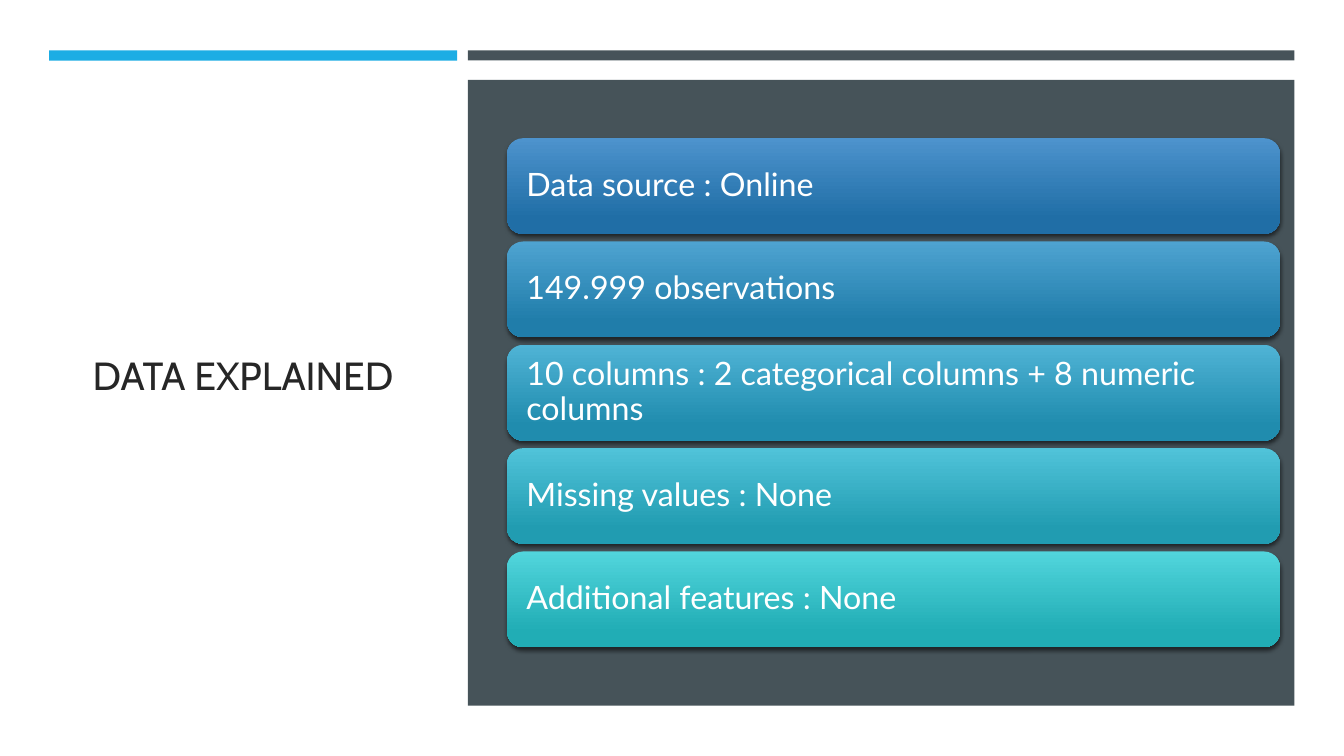
from lxml import etree
from pptx import Presentation
from pptx.dml.color import RGBColor
from pptx.enum.shapes import MSO_SHAPE
from pptx.enum.text import MSO_ANCHOR, MSO_AUTO_SIZE, PP_ALIGN
from pptx.oxml.ns import qn
from pptx.util import Pt

RECT = MSO_SHAPE.RECTANGLE
ROUNDED = MSO_SHAPE.ROUNDED_RECTANGLE
MIDDLE = MSO_ANCHOR.MIDDLE
NO_FIT = MSO_AUTO_SIZE.NONE
LEFT = PP_ALIGN.LEFT

WHITE = RGBColor(0xFF, 0xFF, 0xFF)
INK = RGBColor(0x26, 0x26, 0x26)
ACCENT = RGBColor(0x1C, 0xAD, 0xE4)
SLATE = RGBColor(0x46, 0x53, 0x59)

FACTS = [
    ("Data source : Online", RGBColor(0x4D, 0x93, 0xCD), RGBColor(0x20, 0x6E, 0xA6)),
    ("149.999 observations", RGBColor(0x4E, 0xA3, 0xD1), RGBColor(0x20, 0x7D, 0xAA)),
    ("10 columns : 2 categorical columns + 8 numeric columns",
     RGBColor(0x4F, 0xB3, 0xD5), RGBColor(0x20, 0x8C, 0xAE)),
    ("Missing values : None", RGBColor(0x50, 0xC3, 0xD9), RGBColor(0x21, 0x9C, 0xB1)),
    ("Additional features : None", RGBColor(0x51, 0xD5, 0xDC), RGBColor(0x21, 0xAD, 0xB5)),
]


def add_block(s, kind, left, top, width, height):
    sp = s.shapes.add_shape(kind, Pt(left), Pt(top), Pt(width), Pt(height))
    sp.shadow.inherit = False
    sp.line.fill.background()
    return sp


def add_solid(s, color, *box):
    sp = add_block(s, RECT, *box)
    sp.fill.solid()
    sp.fill.fore_color.rgb = color


def add_drop_shadow(sp):
    effects = sp._element.spPr.find(qn("a:effectLst"))
    shadow = etree.SubElement(effects, qn("a:outerShdw"), blurRad=str(Pt(3)),
                              dist=str(Pt(2)), dir="5400000", algn="ctr", rotWithShape="0")
    color = etree.SubElement(shadow, qn("a:srgbClr"), val="000000")
    etree.SubElement(color, qn("a:alpha"), val="55000")


def add_title(s, text, left, top, width, height):
    sp = s.shapes.title
    sp.left, sp.top, sp.width, sp.height = Pt(left), Pt(top), Pt(width), Pt(height)
    tf = sp.text_frame
    tf.text = text
    tf.word_wrap = True
    tf.auto_size = NO_FIT
    tf.vertical_anchor = MIDDLE
    p = tf.paragraphs[0]
    p.alignment = LEFT
    p.font.name = "Cabin"
    p.font.size = Pt(28)
    p.font.color.rgb = INK


def add_fact(s, fact, left, top, width, height):
    text, light, dark = fact
    sp = add_block(s, ROUNDED, left, top, width, height)
    add_drop_shadow(sp)
    sp.fill.gradient()
    sp.fill.gradient_angle = 270
    for stop, color, position in zip(sp.fill.gradient_stops, (light, dark), (0, 0.84)):
        stop.color.rgb = color
        stop.position = position
    tf = sp.text_frame
    tf.word_wrap = True
    tf.vertical_anchor = MIDDLE
    tf.margin_left = tf.margin_right = Pt(10.5)
    tf.margin_top = tf.margin_bottom = Pt(0)
    tf.text = text
    p = tf.paragraphs[0]
    p.alignment = LEFT
    p.line_spacing = 0.9
    p.font.name = "Lato"
    p.font.size = Pt(23)
    p.font.color.rgb = WHITE


def add_fact_panel(s, facts, left, top, width, height):
    add_solid(s, SLATE, left, top, width, height)
    row_height, pitch = 68.4, 73.8
    stack_height = pitch * (len(facts) - 1) + row_height
    first_top = top + (height - stack_height) / 2
    for i, fact in enumerate(facts):
        add_fact(s, fact, left + 28, first_top + i * pitch, width - 38.2, row_height)


def main():
    prs = Presentation()
    prs.slide_width, prs.slide_height = Pt(960), Pt(540)
    s = prs.slides.add_slide(prs.slide_layouts[5])
    s.background.fill.solid()
    s.background.fill.fore_color.rgb = WHITE
    add_title(s, "DATA EXPLAINED", 59, 82, 240.5, 371)
    add_solid(s, ACCENT, 35, 36, 291.6, 7.4)
    add_solid(s, SLATE, 334.2, 36, 590.4, 7.2)
    add_fact_panel(s, FACTS, 334.2, 57, 590.4, 447)
    prs.save("out.pptx")


if __name__ == "__main__":
    main()
